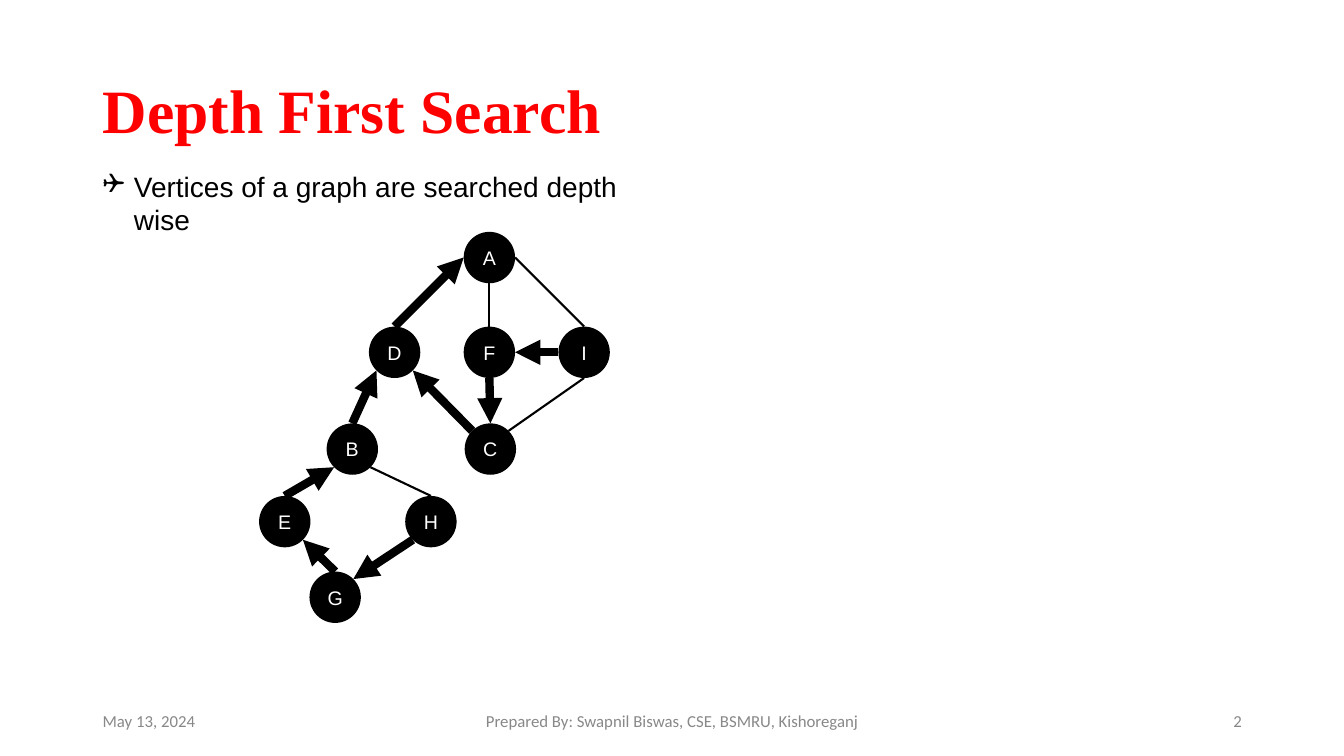
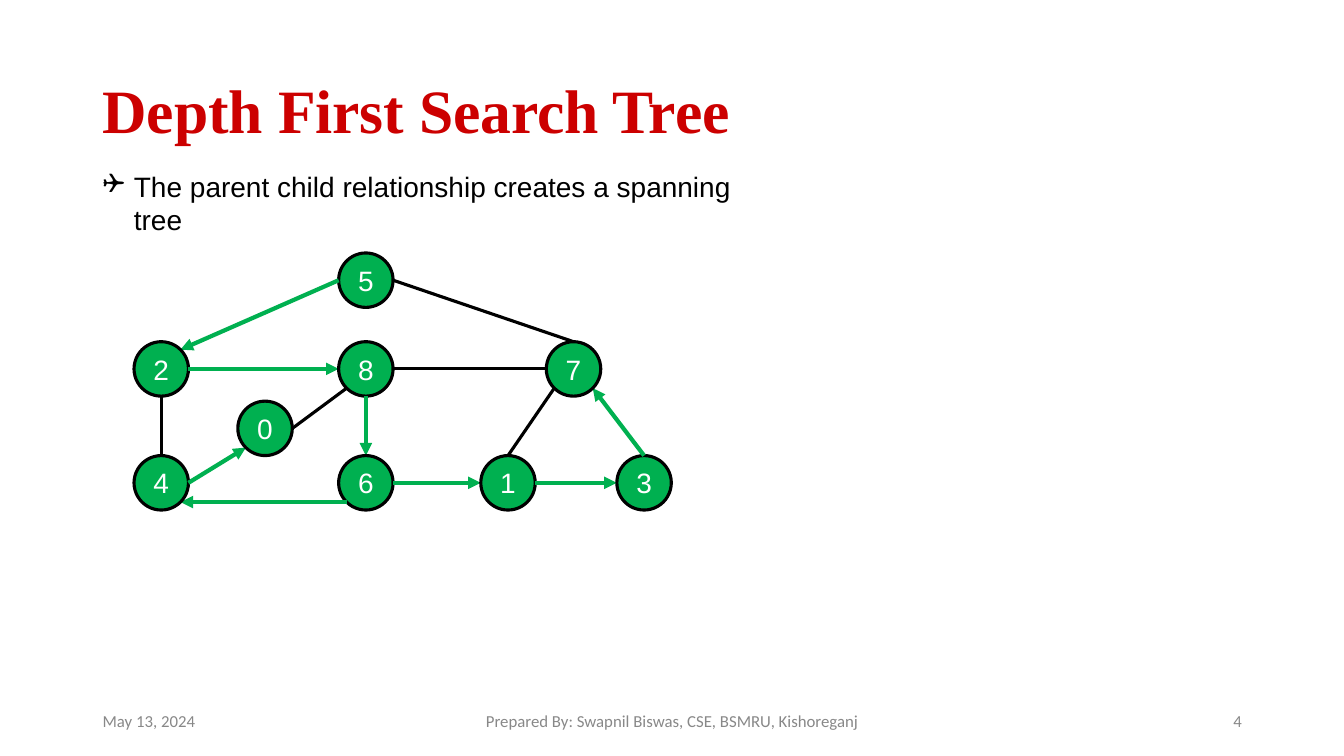
from math import hypot

from lxml.etree import SubElement
from pptx import Presentation
from pptx.dml.color import RGBColor
from pptx.enum.shapes import MSO_CONNECTOR, MSO_SHAPE
from pptx.enum.text import MSO_ANCHOR, PP_ALIGN
from pptx.oxml.ns import qn
from pptx.util import Emu, Pt

PX = 9144  # 100 px to the inch
HIGH = 750
WIDE = HIGH * 16 / 9

THEME = {
    "head": ("Times New Roman", 44),
    "body": ("Arial", 20),
    "foot": ("Calibri", 12),
    "node": "Arial",
    "mark": "Wingdings",
    "black": "000000",
    "white": "FFFFFF",
    "grey": "888888",
    "green": "00B050",
}

DATE = "May 13, 2024"
AUTHOR = "Prepared By: Swapnil Biswas, CSE, BSMRU, Kishoreganj"
BULLET = "❑"
HANG = 31

# nodes: label -> left, top, in drawing order
# edges: from, side, to, side; arrows run from the first node to the second
SLIDES = [
    {
        "title": "Depth First Search",
        "color": "FF0000",
        "track": 0,
        "page": 2,
        "point": "Vertices of a graph are searched depth wise",
        "width": 569,
        "style": {"size": 51, "text": 14, "fill": "black", "rim": 0,
                  "edge": 1.5, "arrow": 6},
        "nodes": {
            "H": (402, 492), "G": (307, 567), "E": (257, 492),
            "B": (324, 420), "I": (554, 324), "F": (460, 324),
            "C": (461, 420), "D": (366, 324), "A": (460, 230),
        },
        "edges": ["B se H n", "A s F n", "A e I n", "I s C ne"],
        "arrows": ["H sw G ne", "G n E se", "E n B sw", "B n D sw",
                   "I w F e", "F s C n", "C nw D se", "D n A w"],
    },
    {
        "title": "Depth First Search Tree",
        "color": "CC0000",
        "track": -10,
        "page": 4,
        "point": "The parent child relationship creates a spanning tree",
        "width": 669,
        "style": {"size": 54, "text": 20, "fill": "green", "rim": 2.25,
                  "edge": 2.25, "arrow": 3},
        "nodes": {
            "5": (336, 251), "2": (133, 339), "8": (336, 339),
            "6": (336, 452), "4": (133, 452), "0": (236, 398),
            "1": (477, 452), "3": (612, 452), "7": (542, 339),
        },
        "edges": ["2 s 4 n", "5 e 7 n", "8 e 7 w", "8 sw 0 e", "7 sw 1 n"],
        "arrows": ["5 w 2 ne", "2 e 8 w", "8 s 6 n", "6 sw 4 se",
                   "4 e 0 sw", "6 e 1 w", "1 e 3 w", "3 n 7 se"],
    },
]


def px(*vals):
    return [Emu(round(v * PX)) for v in vals]


def rgb(name):
    return RGBColor.from_string(THEME.get(name, name))


def style(para, face, size, color, bold=False):
    for run in para.runs:
        font = run.font
        font.name, font.size, font.bold = face, Pt(size), bold
        font.color.rgb = rgb(color)


def add_text(slide, box, text, kind, color, align=PP_ALIGN.LEFT,
             anchor=MSO_ANCHOR.MIDDLE, bold=False):
    frame = slide.shapes.add_textbox(*px(*box)).text_frame
    frame.word_wrap = True
    frame.vertical_anchor = anchor
    frame.text = text
    para = frame.paragraphs[0]
    para.alignment = align
    style(para, *THEME[kind], color, bold)
    return para


def add_point(slide, text, width):
    para = add_text(slide, (92, 163, width, 44), text, "body", "black",
                    anchor=MSO_ANCHOR.TOP)
    props = para._p.get_or_add_pPr()
    indent = px(HANG)[0]
    props.set("marL", str(indent))
    props.set("indent", str(-indent))
    SubElement(props, qn("a:buFont")).set("typeface", THEME["mark"])
    SubElement(props, qn("a:buChar")).set("char", BULLET)


def add_frame(slide, data):
    """Add the title and the three footer fields."""
    title = add_text(slide, (92, 40, 1150, 145), data["title"], "head",
                     data["color"], bold=True)
    title.line_spacing = 0.9
    title.runs[0]._r.get_or_add_rPr().set("spc", str(data["track"]))
    for left, width, text, align in [
        (92, 300, DATE, PP_ALIGN.LEFT),
        (442, 450, AUTHOR, PP_ALIGN.CENTER),
        (942, 300, str(data["page"]), PP_ALIGN.RIGHT),
    ]:
        add_text(slide, (left, 695, width, 40), text, "foot", "grey", align)


def rim_point(spot, size, side):
    """Return the point on a node's circle at a compass side."""
    dx = ("e" in side) - ("w" in side)
    dy = ("s" in side) - ("n" in side)
    reach = size / 2 / hypot(dx, dy)
    return spot[0] + size / 2 + dx * reach, spot[1] + size / 2 + dy * reach


def add_edge(slide, data, edge, color, weight, arrow=False):
    start, out, end, into = edge.split()
    nodes, size = data["nodes"], data["style"]["size"]
    ends = (*rim_point(nodes[start], size, out),
            *rim_point(nodes[end], size, into))
    link = slide.shapes.add_connector(MSO_CONNECTOR.STRAIGHT, *px(*ends))
    link.line.color.rgb = rgb(color)
    link.line.width = Pt(weight)
    props = link._element.spPr
    if arrow:
        tail = SubElement(props.find(qn("a:ln")), qn("a:tailEnd"))
        tail.set("type", "triangle")
    SubElement(props, qn("a:effectLst"))


def add_node(slide, label, spot, look):
    size = look["size"]
    disc = slide.shapes.add_shape(MSO_SHAPE.OVAL, *px(*spot, size, size))
    disc.shadow.inherit = False
    disc.fill.solid()
    disc.fill.fore_color.rgb = rgb(look["fill"])
    if look["rim"]:
        disc.line.color.rgb = rgb("black")
        disc.line.width = Pt(look["rim"])
    else:
        disc.line.fill.background()
    frame = disc.text_frame
    frame.margin_left = frame.margin_right = 0
    frame.margin_top = frame.margin_bottom = 0
    frame.vertical_anchor = MSO_ANCHOR.MIDDLE
    frame.text = label
    para = frame.paragraphs[0]
    para.alignment = PP_ALIGN.CENTER
    style(para, THEME["node"], look["text"], "white")


def add_graph(slide, data):
    """Draw plain edges, then each node above the arrows that reach it."""
    look = data["style"]
    for edge in data["edges"]:
        add_edge(slide, data, edge, "black", look["edge"])
    for label, spot in data["nodes"].items():
        for edge in data["arrows"]:
            if edge.split()[2] == label:
                add_edge(slide, data, edge, look["fill"], look["arrow"], True)
        add_node(slide, label, spot, look)


def main():
    deck = Presentation()
    deck.slide_width, deck.slide_height = px(WIDE, HIGH)
    blank = deck.slide_layouts[6]
    for data in SLIDES:
        slide = deck.slides.add_slide(blank)
        add_frame(slide, data)
        add_point(slide, data["point"], data["width"])
        add_graph(slide, data)
    deck.save("out.pptx")


if __name__ == "__main__":
    main()
